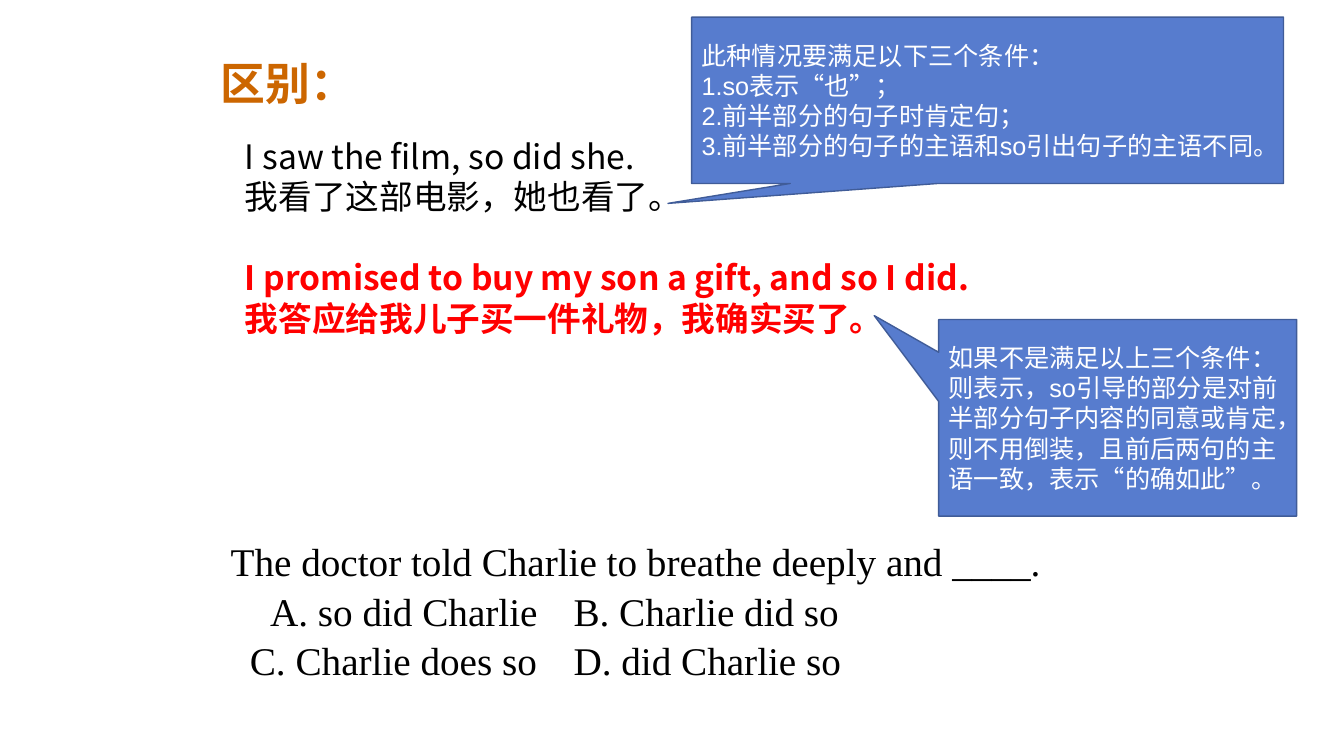
import pptx
import pptx.util
import pptx.dml.color
import pptx.enum.shapes
import pptx.enum.text
import pptx.oxml.ns
import lxml.etree

WIDE, HIGH = 13.33, 7.5
HAN = "Noto Sans CJK SC"
inch = pptx.util.Inches
LEFT = pptx.enum.text.PP_ALIGN.LEFT
MID = pptx.enum.text.MSO_ANCHOR.MIDDLE
TOP = pptx.enum.text.MSO_ANCHOR.TOP


def hue(code):
    """Turn a hex string into a colour."""
    return pptx.dml.color.RGBColor.from_string(code)


def place(shape, box):
    """Move a shape to its left, top, width and height."""
    shape.left, shape.top, shape.width, shape.height = map(inch, box)


def add(parent, tag, **attrs):
    """Append a drawing element to its parent."""
    return lxml.etree.SubElement(parent, pptx.oxml.ns.qn(tag), attrs)


def style(para, face, size, code, bold=False):
    """Set the font of a whole paragraph."""
    para.alignment = LEFT
    font = para.font
    font.name, font.size, font.bold = face, pptx.util.Pt(size), bold
    font.color.rgb = hue(code)
    rule = para._p.pPr.find(pptx.oxml.ns.qn("a:defRPr"))
    add(rule, "a:ea", typeface=HAN)


def fill(shape, lines, anchor=MID):
    """Write lines into a shape and return its paragraphs."""
    frame = shape.text_frame
    frame.text = "\n".join(lines)
    frame.word_wrap = True
    frame.auto_size = pptx.enum.text.MSO_AUTO_SIZE.NONE
    frame.vertical_anchor = anchor
    return frame.paragraphs


def title(slide, box, text):
    """Place the slide title."""
    place(slide.shapes.title, box)
    for para in fill(slide.shapes.title, [text]):
        style(para, HAN, 32, "CC6600", True)


def pairs(slide, box, groups):
    """Place the example sentences with their translations."""
    body = slide.placeholders[1]
    place(body, box)
    paras = fill(body, [line for lines, _, _ in groups for line in lines])
    looks = [(n, code, bold) for lines, code, bold in groups
             for n in range(len(lines))]
    for i, (para, (n, code, bold)) in enumerate(zip(paras, looks)):
        props = para._p.get_or_add_pPr()
        props.set("marL", "0")
        props.set("indent", "0")
        para.space_before = pptx.util.Pt(29 if i and n == 0 else 0)
        add(props, "a:buNone")
        style(para, "Noto Sans CJK KR", 24, code, bold)


def quiz(slide, box, rows, stop):
    """Place the question and its options in two columns."""
    area = slide.shapes.add_textbox(*map(inch, box))
    paras = fill(area, [text for text, _ in rows], TOP)
    for para, (_, dent) in zip(paras, rows):
        props = para._p.get_or_add_pPr()
        props.set("marL", "0")
        props.set("indent", str(inch(dent)))
        para.line_spacing = 1.05
        tabs = add(props, "a:tabLst")
        add(tabs, "a:tab", pos=str(inch(stop)), algn="l")
        style(para, "Times New Roman", 28, "000000")


def callout(slide, box, tip, lines):
    """Place a note whose tail points at the tip."""
    kind = pptx.enum.shapes.MSO_SHAPE.RECTANGULAR_CALLOUT
    note = slide.shapes.add_shape(kind, *map(inch, box))
    note.adjustments[0], note.adjustments[1] = tip
    note.shadow.inherit = False
    note.fill.solid()
    note.fill.fore_color.rgb = hue("577CCE")
    note.line.color.rgb = hue("405C98")
    note.line.width = pptx.util.Pt(1)
    for para in fill(note, lines):
        style(para, "Arial", 18, "FFFFFF")


def main():
    """Build the slide and save it."""
    deck = pptx.Presentation()
    deck.slide_width, deck.slide_height = inch(WIDE), inch(HIGH)
    slide = deck.slides.add_slide(deck.slide_layouts[1])
    title(slide, (2.09, 0.5, 1.76, 0.64), "区别：")
    pairs(slide, (2.33, 1.29, 9.15, 2.12), [
        (["I saw the film, so did she.",
          "我看了这部电影，她也看了。"], "000000", False),
        (["I promised to buy my son a gift, and so I did.",
          "我答应给我儿子买一件礼物，我确实买了。"], "FF0000", True),
    ])
    quiz(slide, (2.09, 5.26, 9.17, 1.98), [
        ("The doctor told Charlie to breathe deeply and ____.", 0.1),
        ("A. so did Charlie\tB. Charlie did so", 0.49),
        ("C. Charlie does so\tD. did Charlie so", 0.29),
    ], 4)
    callout(slide, (6.86, 0.17, 5.87, 1.65), (-0.54, 0.62), [
        "此种情况要满足以下三个条件：",
        "1.so表示“也”；",
        "2.前半部分的句子时肯定句；",
        "3.前半部分的句子的主语和so引出句子的主语不同。",
    ])
    callout(slide, (9.31, 3.17, 3.55, 1.95), (-0.68, -0.52), [
        "如果不是满足以上三个条件：",
        "则表示，so引导的部分是对前半部分句子内容的同意或肯定，"
        "则不用倒装，且前后两句的主语一致，表示“的确如此”。",
    ])
    deck.save("out.pptx")


if __name__ == "__main__":
    main()
